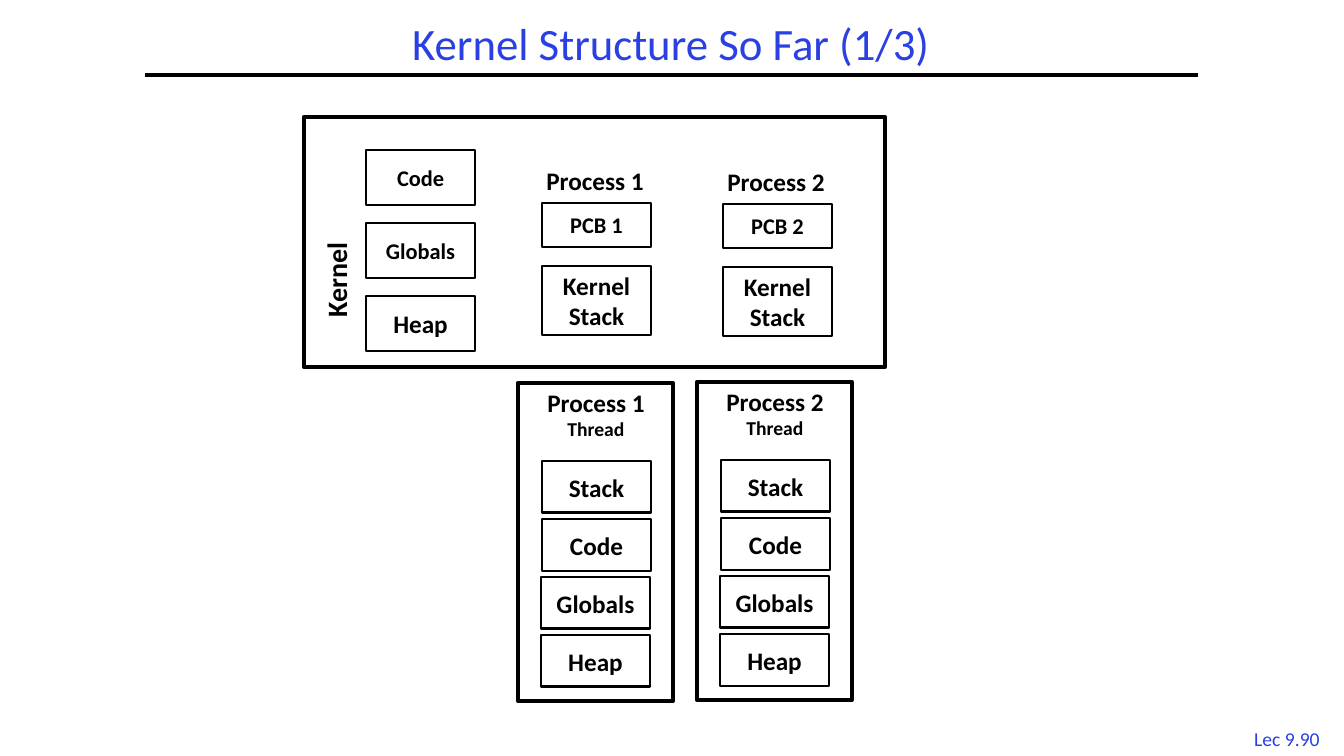
from pptx import Presentation
from pptx.dml.color import RGBColor
from pptx.enum.shapes import MSO_CONNECTOR as CONN, MSO_SHAPE as SHAPE
from pptx.enum.text import MSO_ANCHOR as ANCHOR, PP_ALIGN as ALIGN
from pptx.oxml.ns import qn
from pptx.util import Pt
from lxml.etree import SubElement

BLACK = "000000"
BLUE = "2A40E2"
BOX_W = 109


def px(n):
    return round(n * 914400 / 100.8)


def color(value):
    return RGBColor.from_string(value)


def write(sp, *lines, size=18, bold=True, fill=BLACK, anchor=ANCHOR.MIDDLE,
          wrap=True, spacing=None, last_size=None):
    tf = sp.text_frame
    tf.word_wrap = wrap
    tf.vertical_anchor = anchor
    p = tf.paragraphs[0]
    p.alignment = ALIGN.CENTER
    if spacing:
        p.line_spacing = spacing
    for i, line in enumerate(lines):
        if i:
            p.add_line_break()
        r = p.add_run()
        r.text = line
        font = r.font
        font.name = "Calibri"
        font.size = Pt(last_size if i and last_size else size)
        font.bold = bold
        font.color.rgb = color(fill)


def add_label(s, x, y, w, h, *lines, **fmt):
    sp = s.shapes.add_textbox(px(x), px(y), px(w), px(h))
    write(sp, *lines, **fmt)
    return sp


def add_box(s, x, y, w, h, *lines, weight=2, **fmt):
    sp = s.shapes.add_shape(SHAPE.RECTANGLE, px(x), px(y), px(w), px(h))
    sp.shadow.inherit = False
    sp.fill.background()
    sp.line.color.rgb = color(BLACK)
    sp.line.width = Pt(weight)
    if lines:
        write(sp, *lines, **fmt)


def add_rule(s, x1, x2, y):
    line = s.shapes.add_connector(CONN.STRAIGHT, px(x1), px(y), px(x2), px(y))
    line.line.color.rgb = color(BLACK)
    line.line.width = Pt(3)
    SubElement(line._element.spPr, qn("a:effectLst"))


def add_kernel(s):
    for i, (name, size) in enumerate([("Code", 16), ("Globals", 16), ("Heap", 18)]):
        add_box(s, 366, 150 + 73 * i, BOX_W, 55, name, size=size)
    label = add_label(s, 309, 196, 54, 168, "Kernel", size=20)
    label.text_frame._txBody.bodyPr.set("vert", "vert270")
    add_box(s, 304, 117, 581, 250, weight=3)


def add_kernel_process(s, number, x, y):
    add_label(s, x - 17, y - 43, 140, 40, f"Process {number}",
              anchor=ANCHOR.TOP, wrap=False)
    add_box(s, x, y, BOX_W, 44, f"PCB {number}", size=16)
    add_box(s, x, y + 63, BOX_W, 69, "Kernel", "Stack")


def add_user_process(s, number, x, y):
    add_label(s, x + 8, y - 1, 140, 64, f"Process {number}", "Thread",
              last_size=14, anchor=ANCHOR.TOP, wrap=False)
    for i, name in enumerate(["Stack", "Code", "Globals", "Heap"]):
        add_box(s, x + 24 - i // 2, y + 78 + 58 * i, BOX_W, 52, name)
    add_box(s, x, y, 155, 318, weight=3)


def main():
    prs = Presentation()
    prs.slide_width, prs.slide_height = px(1344), px(756)
    s = prs.slides.add_slide(prs.slide_layouts[6])
    add_label(s, 145, 17, 1052, 58, "Kernel Structure So Far (1/3)",
              size=32, bold=False, fill=BLUE, spacing=0.9)
    add_rule(s, 145, 1198, 75)
    add_kernel(s)
    add_kernel_process(s, 1, 542, 203)
    add_kernel_process(s, 2, 723, 204)
    add_user_process(s, 1, 518, 383)
    add_user_process(s, 2, 697, 382)
    add_label(s, 1238, 722, 98, 33, "Lec 9.90", size=14, bold=False,
              fill=BLUE, anchor=ANCHOR.TOP, wrap=False)
    prs.save("out.pptx")


if __name__ == "__main__":
    main()
